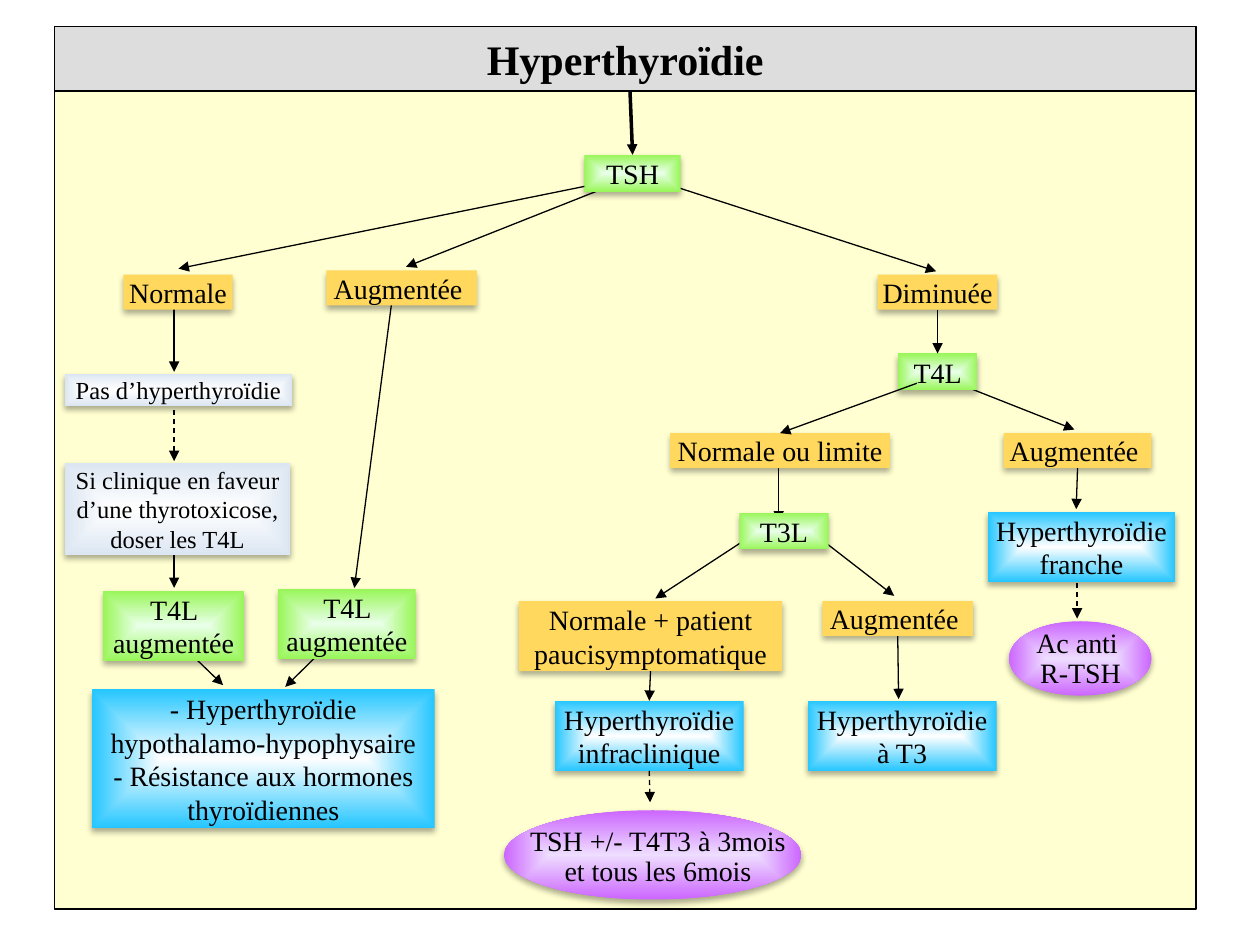
from dataclasses import dataclass
from lxml import etree
from pptx import Presentation
from pptx.dml.color import RGBColor as RGB
from pptx.enum.dml import MSO_LINE
from pptx.enum.shapes import MSO_CONNECTOR as CONN, MSO_SHAPE as SHAPE
from pptx.enum.text import MSO_ANCHOR as ANCHOR, PP_ALIGN as ALIGN
from pptx.oxml.ns import qn
from pptx.util import Pt


@dataclass(frozen=True)
class Theme:
    font: str = "Times New Roman"
    title: int = 24
    body: int = 16
    small: int = 14
    ink: str = "000000"
    panel: str = "FFFFD1"
    header: str = "DDDDDD"
    # One colour is a flat fill, two run from the centre to the edge
    result: tuple = ("FFD85D",)
    test: tuple = ("E9FFE9", "98F658")
    diagnosis: tuple = ("FFFFFF", "25C6FF")
    note: tuple = ("FFFFFF", "DCE6F2")
    follow_up: tuple = ("EEDDFF", "CC66FF")


T = Theme()
TOP, BOTTOM = 0, 2

# name: (left, top, width, height, fill, text, size)
BOXES = {
    "normal": (70.5, 157, 62.5, 20, T.result, "Normale", T.body),
    "central": (52.5, 394, 196, 79, T.diagnosis,
                "- Hyperthyroïdie hypothalamo-hypophysaire\n"
                "- Résistance aux hormones thyroïdiennes", T.body),
    "t3 disease": (461.5, 400.5, 108, 40, T.diagnosis, "Hyperthyroïdie à T3", T.body),
    "clinical": (37, 264.5, 129, 52.5, T.note,
                 "Si clinique en faveur d’une thyrotoxicose, doser les T4L", T.small),
    "t4 right": (159, 336.5, 78.5, 40, T.test, "T4L augmentée", T.body),
    "t4 left": (59, 337.5, 80.5, 40, T.test, "T4L augmentée", T.body),
    "t4": (513, 202, 45.5, 21, T.test, "T4L", T.body),
    "few symptoms": (296.5, 343.5, 150.5, 40, T.result,
                     "Normale + patient paucisymptomatique", T.body),
    "subclinical": (317, 400.5, 108, 40, T.diagnosis,
                    "Hyperthyroïdie infraclinique", T.body),
    "t3": (422.5, 293, 51, 21, T.test, "T3L", T.body),
    "t3 raised": (470, 343.5, 86, 20, T.result, "Augmentée ", T.body),
    "t4 raised": (573.5, 247.5, 84.5, 20, T.result, "Augmentée ", T.body),
    "tsh raised": (186.5, 154.5, 86, 20, T.result, "Augmentée ", T.body),
    "tsh": (334, 88.5, 55, 21, T.test, "TSH", T.body),
    "no disease": (37, 213.5, 130, 18.5, T.note, "Pas d’hyperthyroïdie", T.small),
    "tsh lowered": (501.5, 157, 68.5, 20, T.result, "Diminuée ", T.body),
    "t4 normal": (383, 247.5, 125.5, 20, T.result, "Normale ou limite", T.body),
    "overt": (564.5, 292.5, 107, 40, T.diagnosis, "Hyperthyroïdie franche", T.body),
}

# (oval left, top, width, height), (label left, top, width, height), text
OVALS = [
    ((288, 463, 170, 51), (297.5, 471.5, 157, 37),
     "TSH +/- T4T3 à 3mois et tous les 6mois"),
    ((576.5, 355, 81.5, 42.5), (577.5, 358.5, 80, 37), "Ac anti \vR-TSH"),
]

# Arrows that start behind the boxes: start, end, dashed
LOOSE_ARROWS = [
    ((99.5, 224), (99.5, 263.5), True),
    ((99.5, 173), (99.5, 212.5), False),
    ((344, 104.5), (102, 153.5), False),
    ((355.5, 103.5), (232, 152.5), False),
    ((376, 103.5), (535, 155), False),
    ((99.5, 301.5), (99.5, 336), False),
    ((224, 171.5), (202.5, 336), False),
    ((191.5, 364.5), (163, 392.5), False),
    ((98.5, 363.5), (127.5, 391.5), False),
    ((540.5, 216.5), (614, 245.5), False),
    ((445, 264), (445, 298), False),
    ((436.5, 301.5), (374.5, 342), False),
    ((460, 301), (511, 340.5), False),
    ((615.5, 333), (615.5, 353.5), True),
]

# Arrows joined to a box: each end is a point or (box name, side)
JOINED_ARROWS = [
    (("tsh lowered", BOTTOM), ("t4", TOP), False),
    ((524, 219), ("t4 normal", TOP), False),
    (("t4 raised", BOTTOM), (615, 291), False),
    (("few symptoms", BOTTOM), ("subclinical", TOP), False),
    (("t3 raised", BOTTOM), (513.5, 399.5), False),
    (("subclinical", BOTTOM), (371.5, 458.5), True),
]


def paint(sp, colors):
    if len(colors) == 1:
        sp.fill.solid()
        sp.fill.fore_color.rgb = RGB.from_string(colors[0])
        return
    sp.fill.gradient()
    for stop, color in zip(sp.fill.gradient_stops, colors):
        stop.color.rgb = RGB.from_string(color)
    grad = sp._element.spPr.find(qn("a:gradFill"))
    grad.remove(grad.find(qn("a:lin")))
    path = etree.SubElement(grad, qn("a:path"), path="shape")
    etree.SubElement(path, qn("a:fillToRect"),
                     {side: "50000" for side in "ltrb"})


def add_shadow(sp):
    effects = sp._element.spPr.find(qn("a:effectLst"))
    outer = etree.SubElement(effects, qn("a:outerShdw"), blurRad=str(Pt(3.5)),
                             dist=str(Pt(2.2)), dir="5400000", rotWithShape="0")
    color = etree.SubElement(outer, qn("a:srgbClr"), val=T.ink)
    etree.SubElement(color, qn("a:alpha"), val="32000")


def write(sp, text, size, bold=False, spacing=None):
    tf = sp.text_frame
    tf.word_wrap = True
    tf.vertical_anchor = ANCHOR.MIDDLE
    tf.margin_left = tf.margin_right = Pt(1.5)
    tf.margin_top = tf.margin_bottom = Pt(0.5)
    tf.text = text
    for p in tf.paragraphs:
        p.alignment = ALIGN.CENTER
        p.line_spacing = spacing
        p.font.name = T.font
        p.font.size = Pt(size)
        p.font.bold = bold
        p.font.color.rgb = RGB.from_string(T.ink)


def add_block(s, kind, at, colors, outlined=False):
    sp = s.shapes.add_shape(kind, *map(Pt, at))
    sp.shadow.inherit = False
    paint(sp, colors)
    if outlined:
        sp.line.color.rgb = RGB.from_string(T.ink)
        sp.line.width = Pt(0.75)
    else:
        sp.line.fill.background()
        add_shadow(sp)
    return sp


def add_box(s, left, top, width, height, colors, text, size):
    sp = add_block(s, SHAPE.RECTANGLE, (left, top, width, height), colors)
    write(sp, text, size)
    return sp


def add_oval(s, oval, label, text):
    add_block(s, SHAPE.OVAL, oval, T.follow_up)
    write(s.shapes.add_textbox(*map(Pt, label)), text, T.body, spacing=0.9)


def add_arrow(s, start, end, dashed=False, width=0.75, boxes=None):
    points = [(0, 0) if isinstance(e[0], str) else e for e in (start, end)]
    c = s.shapes.add_connector(CONN.STRAIGHT, *map(Pt, points[0] + points[1]))
    for e, join in ((start, c.begin_connect), (end, c.end_connect)):
        if isinstance(e[0], str):
            join(boxes[e[0]], e[1])
    c.line.color.rgb = RGB.from_string(T.ink)
    c.line.width = Pt(width)
    if dashed:
        c.line.dash_style = MSO_LINE.DASH
    etree.SubElement(c.line._get_or_add_ln(), qn("a:tailEnd"), type="triangle")
    etree.SubElement(c._element.spPr, qn("a:effectLst"))


def main():
    prs = Presentation()
    prs.slide_width, prs.slide_height = Pt(720), Pt(540)
    s = prs.slides.add_slide(prs.slide_layouts[6])

    # Panel and title
    add_block(s, SHAPE.RECTANGLE, (31, 15, 652.5, 504.5), (T.panel,), outlined=True)
    header = add_block(s, SHAPE.RECTANGLE, (31, 15, 652.5, 37), (T.header,), outlined=True)
    write(header, "Hyperthyroïdie", T.title, bold=True)

    # Decision tree, with loose arrows behind the boxes
    for start, end, dashed in LOOSE_ARROWS:
        add_arrow(s, start, end, dashed)
    boxes = {name: add_box(s, *box) for name, box in BOXES.items()}
    for oval in OVALS:
        add_oval(s, *oval)
    for start, end, dashed in JOINED_ARROWS:
        add_arrow(s, start, end, dashed, boxes=boxes)
    add_arrow(s, (360, 52), ("tsh", TOP), width=2, boxes=boxes)

    prs.save("out.pptx")


if __name__ == "__main__":
    main()
